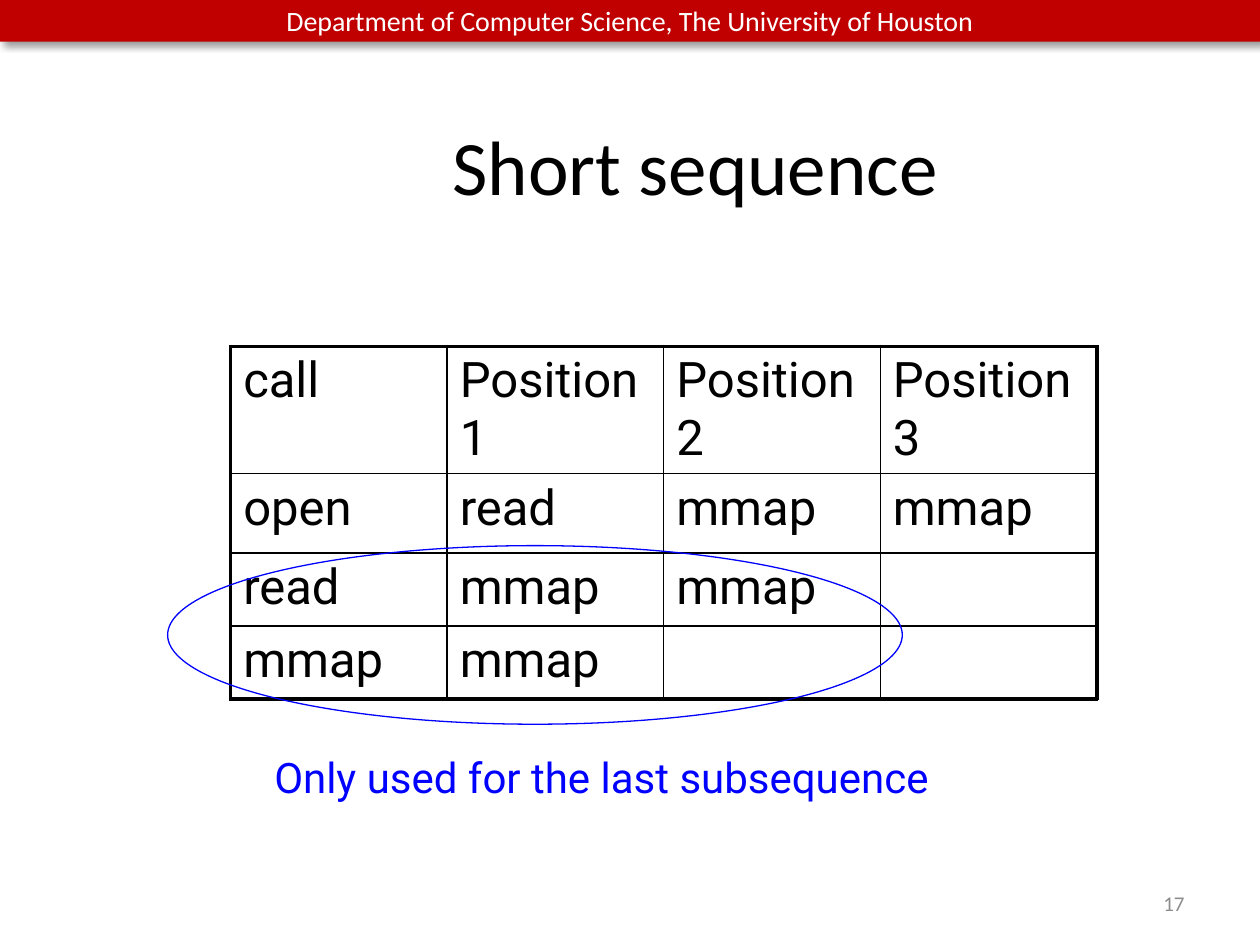
from lxml.etree import SubElement
from pptx import Presentation
from pptx.dml.color import RGBColor
from pptx.enum.shapes import MSO_SHAPE as Shape
from pptx.enum.text import MSO_ANCHOR as Anchor, PP_ALIGN as Align
from pptx.oxml import parse_xml
from pptx.oxml.ns import nsdecls, qn
from pptx.util import Cm, Pt

COLORS = {"red": "C00000", "white": "FFFFFF", "black": "000000",
          "gray": "8C8C8C", "blue": "0000FF"}
FORMATS = {
    "header": {"name": "Calibri", "size": Pt(16), "color": "white"},
    "title": {"name": "Calibri", "size": Pt(44), "color": "black"},
    "cell": {"name": "Roboto", "size": Pt(28), "color": "black"},
    "number": {"name": "Calibri", "size": Pt(12), "color": "gray"},
    "caption": {"name": "Roboto", "size": Pt(24), "color": "blue"},
}
CALLS = [
    ["call", "Position 1", "Position 2", "Position 3"],
    ["open", "read", "mmap", "mmap"],
    ["read", "mmap", "mmap", ""],
    ["mmap", "mmap", "", ""],
]
ROW_HEIGHTS = [2.51, 1.6, 1.47, 1.47]
THICK, THIN = Pt(2.25), Pt(1)


def rgb(name):
    return RGBColor.from_string(COLORS[name])


def write(frame, text, kind, align=Align.LEFT, anchor=Anchor.TOP):
    frame.word_wrap = True
    frame.vertical_anchor = anchor
    para = frame.paragraphs[0]
    para.alignment = align
    span = para.add_run()
    span.text = text
    for key, value in FORMATS[kind].items():
        if key == "color":
            span.font.color.rgb = rgb(value)
        else:
            setattr(span.font, key, value)


def add_text(parent, box, text, kind, **places):
    shape = parent.shapes.add_textbox(*map(Cm, box))
    write(shape.text_frame, text, kind, **places)


def add_header(page, box):
    bar = page.shapes.add_shape(Shape.RECTANGLE, *map(Cm, box))
    bar.fill.solid()
    bar.fill.fore_color.rgb = rgb("red")
    bar.line.fill.background()
    bar._element.spPr.append(parse_xml(
        f'<a:effectLst {nsdecls("a")}><a:outerShdw blurRad="{Pt(4)}" '
        f'dist="{Pt(3)}" dir="2700000" algn="tl" rotWithShape="0">'
        f'<a:srgbClr val="{COLORS["black"]}"><a:alpha val="40000"/>'
        '</a:srgbClr></a:outerShdw></a:effectLst>'))
    write(bar.text_frame, "Department of Computer Science, The University of Houston",
          "header", Align.CENTER, Anchor.MIDDLE)


def add_title(page, box):
    title = page.shapes.title
    title.left, title.top, title.width, title.height = map(Cm, box)
    write(title.text_frame, "Short sequence", "title", Align.CENTER, Anchor.MIDDLE)


def set_borders(cell, widths):
    props = cell._tc.get_or_add_tcPr()
    for index, (side, width) in enumerate(widths.items()):
        line = SubElement(props, qn(f"a:ln{side}"), w=str(width))
        fill = SubElement(line, qn("a:solidFill"))
        SubElement(fill, qn("a:srgbClr"), val=COLORS["black"])
        props.insert(index, line)


def add_calls(page, box):
    last_row, last_col = len(CALLS) - 1, len(CALLS[0]) - 1
    table = page.shapes.add_table(len(CALLS), len(CALLS[0]), *map(Cm, box)).table
    table.first_row = table.horz_banding = False
    for row, height in zip(table.rows, ROW_HEIGHTS):
        row.height = Cm(height)
    for r, texts in enumerate(CALLS):
        for c, text in enumerate(texts):
            cell = table.cell(r, c)
            cell.fill.background()
            set_borders(cell, {
                "L": THICK if c == 0 else THIN,
                "R": THICK if c == last_col else THIN,
                "T": THICK if r == 0 else THIN,
                "B": THICK if r == last_row else THIN,
            })
            if text:
                write(cell.text_frame, text, "cell")


def add_callout(page, box):
    left, top, width, height = box
    group = page.shapes.add_group_shape()
    ring = group.shapes.add_shape(
        Shape.OVAL, Cm(left), Cm(top), Cm(width - 4.03), Cm(height - 1.7))
    ring.shadow.inherit = False
    ring.fill.background()
    ring.line.color.rgb = rgb("blue")
    ring.line.width = Pt(0.75)
    add_text(group, (left + 1.9, top + height - 1.27, width - 1.9, 1.27),
             "Only used for the last subsequence", "caption")


def main():
    deck = Presentation()
    deck.slide_width, deck.slide_height = Cm(25.4), Cm(19.05)
    page = deck.slides.add_slide(deck.slide_layouts[5])
    add_header(page, (0, 0, 25.4, 0.84))
    add_title(page, (3.2, 1.73, 21.64, 3.18))
    add_calls(page, (4.65, 6.98, 17.46, sum(ROW_HEIGHTS)))
    add_text(page, (18.85, 17.58, 5.28, 1.27), "17", "number",
             align=Align.RIGHT, anchor=Anchor.MIDDLE)
    add_callout(page, (3.38, 11, 18.84, 5.3))
    deck.save("out.pptx")


if __name__ == "__main__":
    main()
